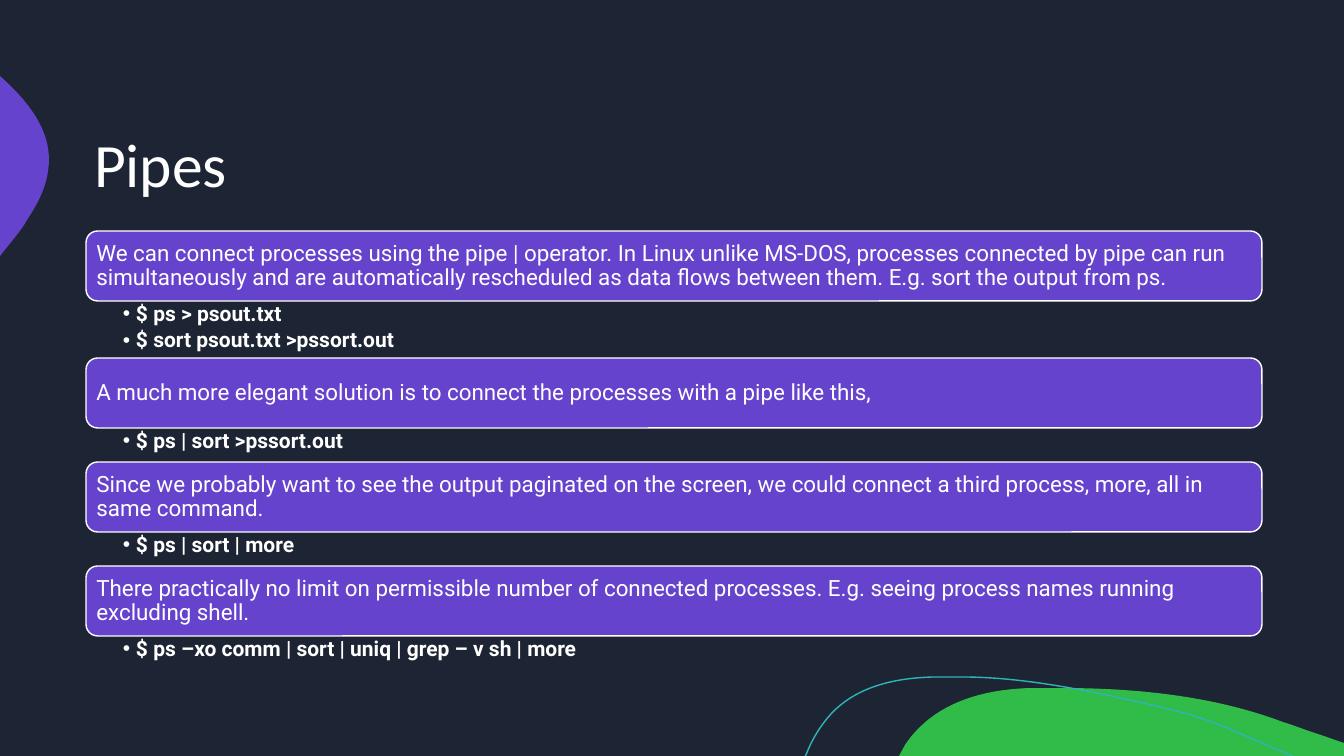
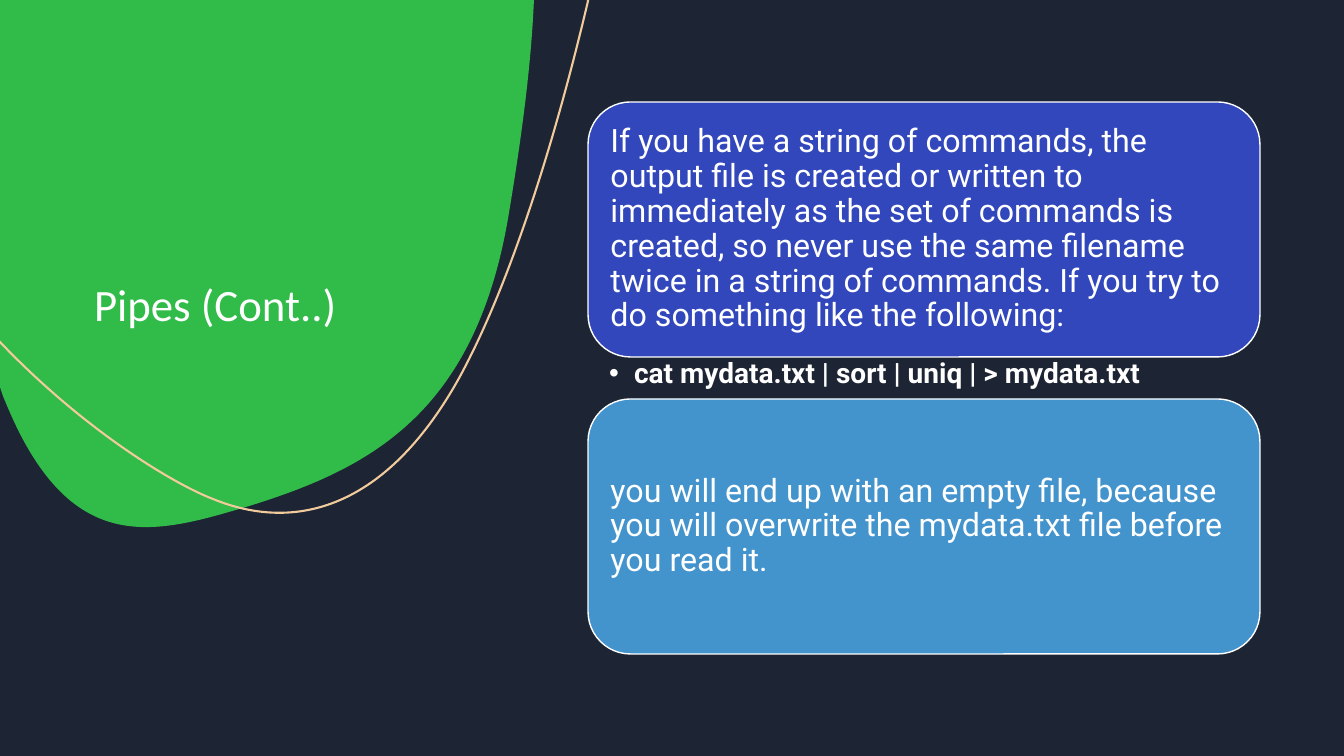
from dataclasses import dataclass

from lxml import etree
from pptx import Presentation, util as u
from pptx.dml.color import RGBColor
from pptx.enum import shapes, text
from pptx.oxml import ns

PAGE_WIDTH, PAGE_HEIGHT = 1344, 756
SCALE = 12192000 / PAGE_WIDTH


@dataclass(frozen=True)
class Theme:
    night: str = "1D2433"
    white: str = "FFFFFF"
    green: str = "31BB49"
    violet: str = "6643CD"
    teal: str = "2FB5B6"
    sand: str = "F1CB9C"
    indigo: str = "3147BB"
    sky: str = "4393CD"
    title_font: str = "Calibri"
    body_font: str = "Roboto"
    bullet_font: str = "Arial"
    title_size: int = 44
    side_title_size: int = 32
    line_spacing: float = 0.9


@dataclass(frozen=True)
class StackStyle:
    card_height: int
    card_inset: int
    card_size: int
    list_height: int
    list_step: int
    list_inset: int
    list_indent: int
    list_size: int


@dataclass(frozen=True)
class Outline:
    area: tuple
    segments: tuple


THEME = Theme()
WIDE_STACK = StackStyle(70, 7, 16, 34, 23, 37, 13, 15)
SIDE_STACK = StackStyle(255, 10, 23, 42, 28, 21, 25, 20)

HILL = Outline((899, 688, 445, 68), (
    (1062, 688), (1137, 688, 1214, 696, 1283, 722),
    (1296, 726, 1308, 731, 1321, 735), (1344, 743), (1344, 756),
    (899, 756), (905, 745), (909, 739, 913, 734, 918, 729),
    (947, 699, 990, 689, 1031, 688), (1041, 688, 1052, 688, 1062, 688),
))
EDGE = Outline((0, 76, 49, 180), (
    (0, 76), (1, 77), (30, 103, 54, 134, 48, 171),
    (46, 188, 37, 205, 27, 220), (24, 226, 17, 235, 8, 246), (0, 256),
))
WAVE = Outline((805, 677, 488, 79), (
    (805, 756), (806, 755), (812, 739, 821, 725, 831, 714),
    (857, 686, 896, 678, 933, 677), (963, 677),
    (1031, 677, 1109, 695, 1164, 708), (1219, 721, 1236, 733, 1293, 756),
))
BLOB = Outline((0, 0, 534, 527), (
    (534, 0), (533, 20), (529, 83, 520, 147, 509, 213),
    (476, 414, 370, 469, 246, 507), (162, 532, 87, 553, 26, 445),
    (17, 429, 10, 413, 3, 396), (0, 387), (0, 0), (534, 0),
))
SWEEP = Outline((0, 0, 588, 513), (
    (588, 0), (588, 1), (551, 158, 505, 295, 458, 380),
    (386, 508, 296, 533, 213, 499), (174, 484, 85, 431, 0, 342), (0, 341),
))

PIPE_STEPS = [
    ("We can connect processes using the pipe | operator. In Linux unlike MS-DOS, "
     "processes connected by pipe can run simultaneously and are automatically "
     "rescheduled as data flows between them. E.g. sort the output from ps.",
     THEME.violet, ["$ ps > psout.txt", "$ sort psout.txt >pssort.out"]),
    ("A much more elegant solution is to connect the processes with a pipe like this,",
     THEME.violet, ["$ ps | sort >pssort.out"]),
    ("Since we probably want to see the output paginated on the screen, we could "
     "connect a third process, more, all in same command.",
     THEME.violet, ["$ ps | sort | more"]),
    ("There practically no limit on permissible number of connected processes. "
     "E.g. seeing process names running excluding shell.",
     THEME.violet, ["$ ps –xo comm | sort | uniq | grep – v sh | more"]),
]
PIPE_WARNINGS = [
    ("If you have a string of commands, the output file is created or written to "
     "immediately as the set of commands is created, so never use the same filename "
     "twice in a string of commands. If you try to do something like the following:",
     THEME.indigo, ["cat mydata.txt | sort | uniq | > mydata.txt"]),
    ("you will end up with an empty file, because you will overwrite the mydata.txt "
     "file before you read it.", THEME.sky, []),
]


def px(length):
    return u.Emu(round(length * SCALE))


def colour(value):
    return RGBColor.from_string(value)


def place(shape, area):
    shape.left, shape.top, shape.width, shape.height = map(px, area)


def paint(shape, fill=None, line=None, width=1):
    shape.shadow.inherit = False
    if fill:
        shape.fill.solid()
        shape.fill.fore_color.rgb = colour(fill)
    else:
        shape.fill.background()
    if line:
        shape.line.color.rgb = colour(line)
        shape.line.width = u.Pt(width)
    else:
        shape.line.fill.background()


def set_frame(frame, insets, anchor):
    frame.word_wrap = True
    frame.auto_size = text.MSO_AUTO_SIZE.NONE
    frame.vertical_anchor = anchor
    (frame.margin_left, frame.margin_top,
     frame.margin_right, frame.margin_bottom) = map(px, insets)


def write(para, words, font, size, bold=False):
    para.alignment = text.PP_ALIGN.LEFT
    para.line_spacing = THEME.line_spacing
    para.space_before = u.Pt(0)
    span = para.add_run()
    span.text = words
    span.font.name = font
    span.font.size = u.Pt(size)
    span.font.bold = bold
    span.font.color.rgb = colour(THEME.white)


def add_bullet(para, indent):
    props = para._p.get_or_add_pPr()
    props.set("marL", str(px(indent)))
    props.set("indent", str(-px(indent)))
    etree.SubElement(props, ns.qn("a:buFont")).set("typeface", THEME.bullet_font)
    etree.SubElement(props, ns.qn("a:buChar")).set("char", "•")


def add_outline(page, outline, fill=None, line=None, width=1):
    left, top, wide, high = map(px, outline.area)
    builder = page.shapes.build_freeform(left, top, scale=1.0)
    builder.add_line_segments([(left + wide, top), (left + wide, top + high)], close=False)
    shape = builder.convert_to_shape()
    track = shape.element.spPr.find(".//" + ns.qn("a:path"))
    for step in list(track):
        track.remove(step)
    for index, segment in enumerate(outline.segments):
        tag = "a:cubicBezTo" if len(segment) == 6 else "a:lnTo" if index else "a:moveTo"
        step = etree.SubElement(track, ns.qn(tag))
        for x, y in zip(segment[::2], segment[1::2]):
            point = etree.SubElement(step, ns.qn("a:pt"))
            point.set("x", str(px(x) - left))
            point.set("y", str(px(y) - top))
    if fill:
        etree.SubElement(track, ns.qn("a:close"))
    paint(shape, fill, line, width)
    return shape


def decorate_master(master, page):
    decorations = [
        add_outline(page, HILL, fill=THEME.green),
        add_outline(page, EDGE, fill=THEME.violet),
        add_outline(page, WAVE, line=THEME.teal),
    ]
    first = master.placeholders[0].element
    for number, shape in enumerate(decorations, 101):
        shape.element.nvSpPr.cNvPr.set("id", str(number))
        first.addprevious(shape.element)


def add_title(page, words, area, size, anchor):
    title = page.shapes.title
    place(title, area)
    set_frame(title.text_frame, (10, 5, 10, 5), anchor)
    write(title.text_frame.paragraphs[0], words, THEME.title_font, size)


def add_card(page, area, words, fill, style):
    card = page.shapes.add_shape(shapes.MSO_SHAPE.ROUNDED_RECTANGLE, *map(px, area))
    paint(card, fill, THEME.white)
    set_frame(card.text_frame, (style.card_inset,) * 4, text.MSO_ANCHOR.MIDDLE)
    write(card.text_frame.paragraphs[0], words, THEME.body_font, style.card_size)


def add_commands(page, area, commands, style, body=None):
    box = body or page.shapes.add_textbox(0, 0, 0, 0)
    place(box, area)
    frame = box.text_frame
    set_frame(frame, (style.list_inset, 2, 15, 3), text.MSO_ANCHOR.TOP)
    for index, command in enumerate(commands):
        para = frame.add_paragraph() if index else frame.paragraphs[0]
        write(para, command, THEME.body_font, style.list_size, bold=True)
        para.space_after = u.Pt(style.list_size * 0.2)
        add_bullet(para, style.list_indent)


def add_stack(page, left, top, width, steps, style, body=None):
    for words, fill, commands in steps:
        add_card(page, (left, top, width, style.card_height), words, fill, style)
        top += style.card_height
        if commands:
            height = style.list_height + style.list_step * (len(commands) - 1)
            add_commands(page, (left, top, width, height), commands, style, body)
            top += height


def build_wide_page(deck):
    page = deck.slides.add_slide(deck.slide_layouts.get_by_name("Title Only"))
    decorate_master(deck.slide_master, page)
    add_title(page, "Pipes", (84, 84, 1176, 168), THEME.title_size,
              text.MSO_ANCHOR.MIDDLE)
    add_stack(page, 86, 231, 1176, PIPE_STEPS, WIDE_STACK)


def build_side_page(deck):
    page = deck.slides.add_slide(deck.slide_layouts.get_by_name("Title and Content"))
    panel = page.shapes.add_shape(shapes.MSO_SHAPE.RECTANGLE, 0, 0,
                                  px(PAGE_WIDTH), px(PAGE_HEIGHT))
    paint(panel, THEME.night)
    add_outline(page, BLOB, fill=THEME.green)
    add_outline(page, SWEEP, line=THEME.sand, width=1.5)
    body = page.placeholders[1]
    for slot in (page.shapes.title, body):
        slot.element.getparent().append(slot.element)
    add_title(page, "Pipes (Cont..)", (84, 84, 336, 252), THEME.side_title_size,
              text.MSO_ANCHOR.BOTTOM)
    add_stack(page, 588, 102, 672, PIPE_WARNINGS, SIDE_STACK, body)


def main():
    deck = Presentation()
    deck.slide_width, deck.slide_height = px(PAGE_WIDTH), px(PAGE_HEIGHT)
    backdrop = deck.slide_master.background.fill
    backdrop.solid()
    backdrop.fore_color.rgb = colour(THEME.night)
    build_wide_page(deck)
    build_side_page(deck)
    deck.save("out.pptx")


if __name__ == "__main__":
    main()
